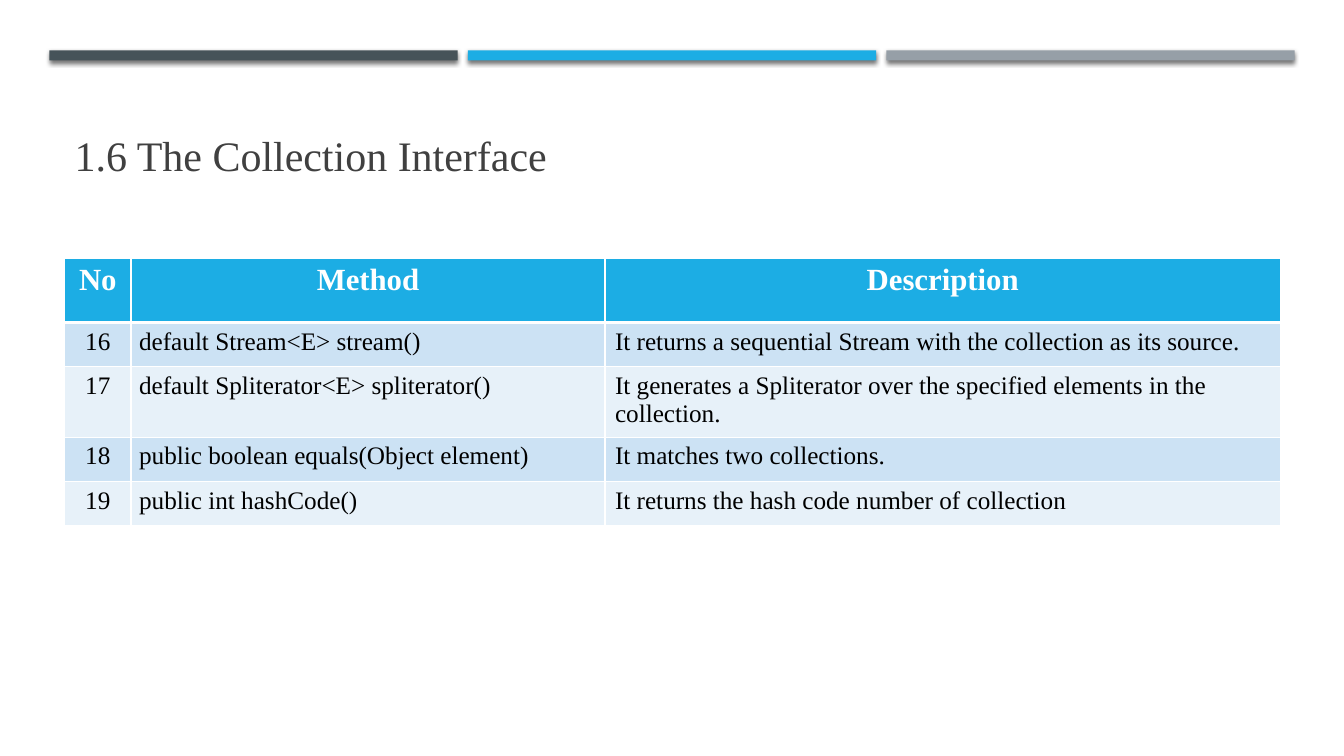
"""Build the slide on the methods of the Collection interface."""
from dataclasses import dataclass

from lxml import etree
from pptx import Presentation
from pptx.dml.color import RGBColor
from pptx.enum.shapes import MSO_SHAPE
from pptx.enum.text import MSO_ANCHOR, MSO_AUTO_SIZE, PP_ALIGN
from pptx.oxml.ns import qn
from pptx.util import Inches, Pt

RECT = MSO_SHAPE.RECTANGLE
BOTTOM = MSO_ANCHOR.BOTTOM
FIXED = MSO_AUTO_SIZE.NONE
LEFT, CENTER, JUST = PP_ALIGN.LEFT, PP_ALIGN.CENTER, PP_ALIGN.JUSTIFY

FACE = "Times New Roman"
WHITE = RGBColor(0xFF, 0xFF, 0xFF)
BLACK = RGBColor(0, 0, 0)
GREY = RGBColor(0x40, 0x40, 0x40)
SLATE = RGBColor(0x46, 0x53, 0x59)
BLUE = RGBColor(0x1C, 0xAD, 0xE4)
SILVER = RGBColor(0x96, 0x9F, 0xA7)
BANDS = (RGBColor(0xCC, 0xE2, 0xF4), RGBColor(0xE7, 0xF1, 0xF9))

THIN, THICK = Pt(0.96), Pt(3)
TITLE = {"name": FACE, "size": Pt(30), "bold": False}
HEAD = {"name": FACE, "size": Pt(22), "bold": True}
BODY = {"name": FACE, "size": Pt(18), "bold": False}


@dataclass
class Column:
    """A table column with its width, body alignment and side inset."""
    head: str
    width: float
    align: PP_ALIGN
    inset: float


COLS = (
    Column("No", 0.66, CENTER, 0.1),
    Column("Method", 4.7, JUST, 0.08),
    Column("Description", 6.7, LEFT, 0.1),
)
ROWS = (
    ("16", "default Stream<E> stream()",
     "It returns a sequential Stream with the collection as its source."),
    ("17", "default Spliterator<E> spliterator()",
     "It generates a Spliterator over the specified elements in the collection."),
    ("18", "public boolean equals(Object element)", "It matches two collections."),
    ("19", "public int hashCode()", "It returns the hash code number of collection"),
)
TALL = (0.64, 0.44, 0.7, 0.44, 0.44)


def style(font, form: dict, color: RGBColor) -> None:
    """Set the font attributes and colour."""
    for key, value in form.items():
        setattr(font, key, value)
    font.color.rgb = color


def shade(shape) -> None:
    """Give a shape a soft shadow below it."""
    shape.shadow.inherit = False
    effects = shape._element.spPr.find(qn("a:effectLst"))
    outer = etree.SubElement(effects, qn("a:outerShdw"), blurRad=str(Pt(3)),
                             dist=str(Pt(2)), dir="5400000", rotWithShape="0")
    black = etree.SubElement(outer, qn("a:srgbClr"), val=str(BLACK))
    etree.SubElement(black, qn("a:alpha"), val="55000")


def add_bars(slide) -> None:
    """Draw the three bars along the top."""
    for i, color in enumerate((SLATE, BLUE, SILVER)):
        bar = slide.shapes.add_shape(RECT, Inches(0.49 + 4.15 * i), Inches(0.5),
                                     Inches(4.05), Inches(0.1))
        bar.fill.solid()
        bar.fill.fore_color.rgb = color
        bar.line.fill.background()
        shade(bar)


def add_title(slide) -> None:
    """Place and format the title."""
    title = slide.shapes.title
    title.left, title.top = Inches(0.64), Inches(0.95)
    title.width, title.height = Inches(12.06), Inches(0.89)
    frame = title.text_frame
    frame.text = "1.6 The Collection Interface"
    frame.auto_size = FIXED
    frame.vertical_anchor = BOTTOM
    para = frame.paragraphs[0]
    para.alignment = LEFT
    style(para.runs[0].font, TITLE, GREY)


def edge(cell, top: int, base: int) -> None:
    """Draw white borders around a cell."""
    props = cell._tc.get_or_add_tcPr()
    for side, width in (("L", THIN), ("R", THIN), ("T", top), ("B", base)):
        line = etree.SubElement(props, qn("a:ln" + side), w=str(int(width)))
        fill = etree.SubElement(line, qn("a:solidFill"))
        etree.SubElement(fill, qn("a:srgbClr"), val=str(WHITE))


def fill_cell(cell, text: str, row: int, col: Column) -> None:
    """Write and format one cell."""
    first = row == 0
    edge(cell, THICK if row == 1 else THIN, THICK if first else THIN)
    cell.fill.solid()
    cell.fill.fore_color.rgb = BLUE if first else BANDS[(row - 1) % 2]
    cell.margin_left = cell.margin_right = Inches(0.1 if first else col.inset)
    cell.text = text
    para = cell.text_frame.paragraphs[0]
    para.alignment = CENTER if first else col.align
    style(para.runs[0].font, HEAD if first else BODY, WHITE if first else BLACK)


def add_grid(slide) -> None:
    """Build the table of methods."""
    lines = (tuple(col.head for col in COLS),) + ROWS
    width = sum(col.width for col in COLS)
    table = slide.shapes.add_table(len(lines), len(COLS), Inches(0.64), Inches(2.56),
                                   Inches(width), Inches(sum(TALL))).table
    for i, col in enumerate(COLS):
        table.columns[i].width = Inches(col.width)
    for row, line in enumerate(lines):
        table.rows[row].height = Inches(TALL[row])
        for i, col in enumerate(COLS):
            fill_cell(table.cell(row, i), line[i], row, col)


def main() -> None:
    """Build and save the deck."""
    deck = Presentation()
    deck.slide_width, deck.slide_height = Inches(13.33), Inches(7.5)
    slide = deck.slides.add_slide(deck.slide_layouts[5])
    add_bars(slide)
    add_title(slide)
    add_grid(slide)
    deck.save("out.pptx")


if __name__ == "__main__":
    main()
